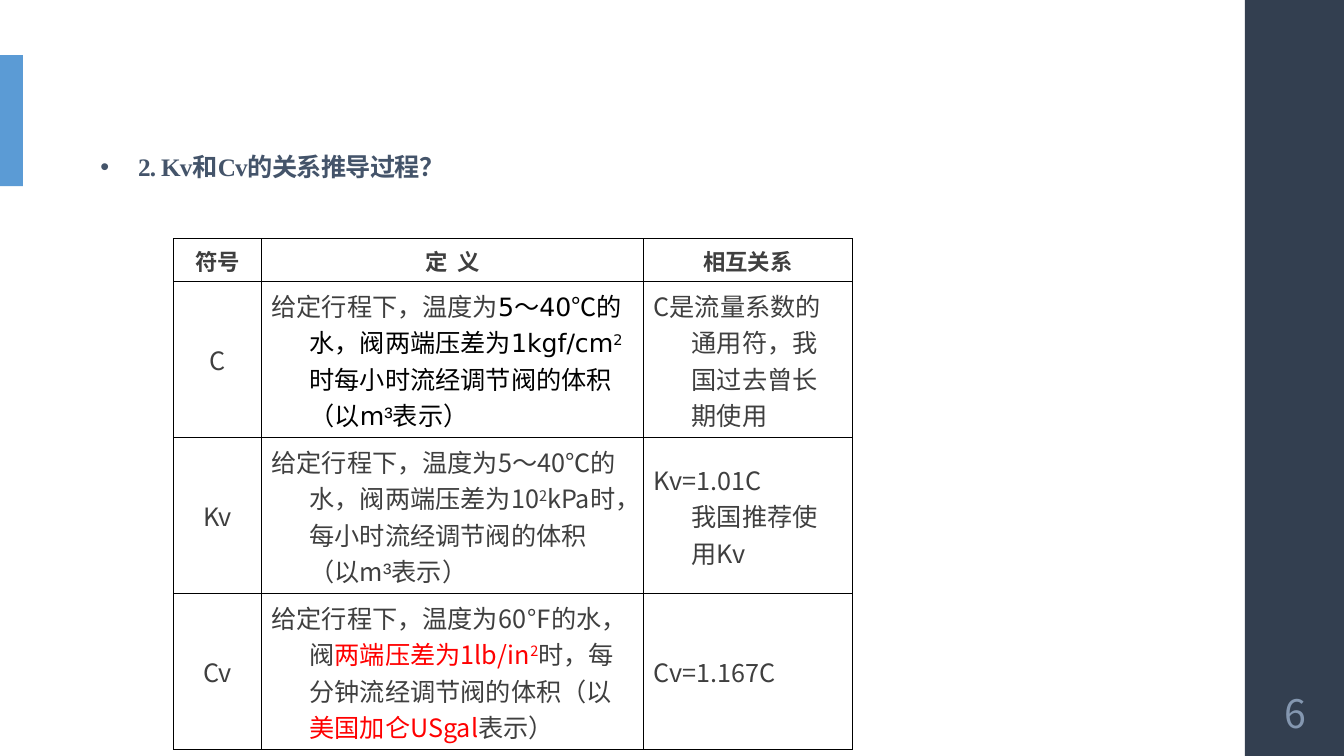
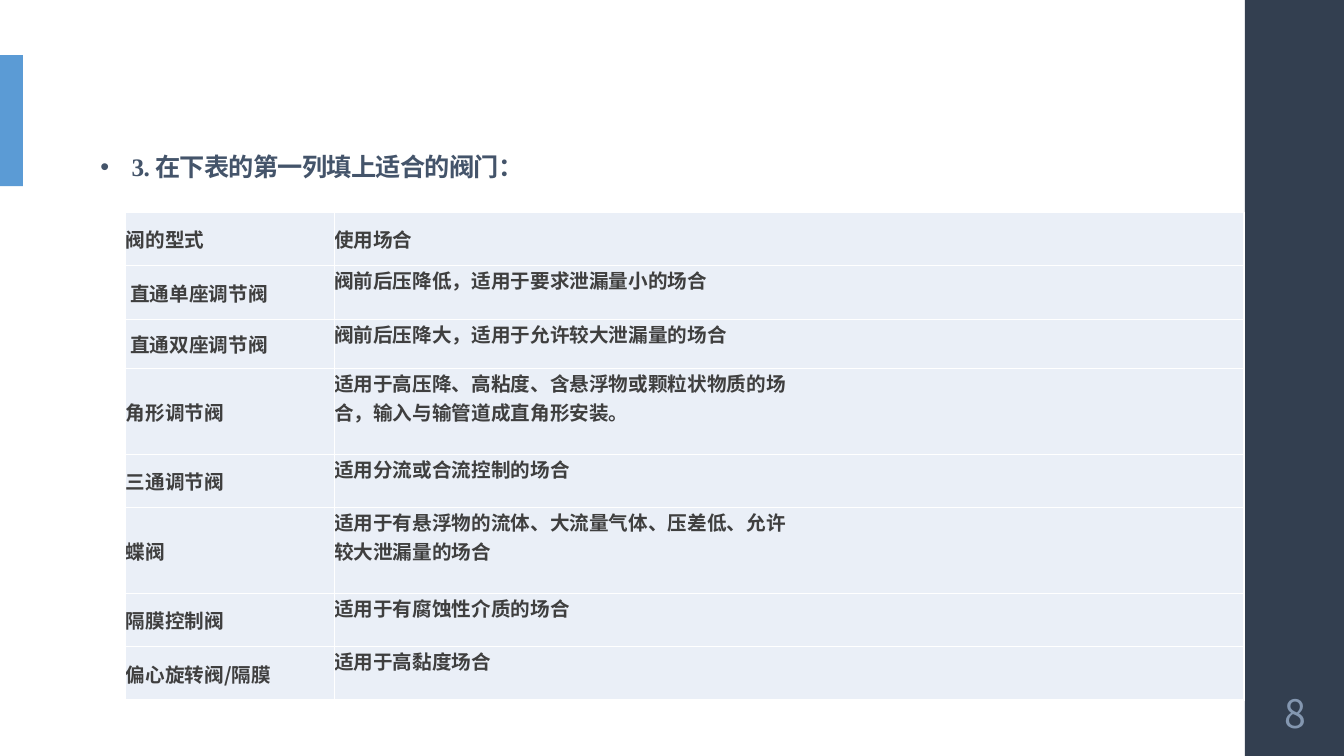
from dataclasses import dataclass, replace
from typing import NamedTuple

from lxml.etree import SubElement as Sub
from pptx import Presentation
from pptx.dml.color import RGBColor as Rgb
from pptx.enum.shapes import MSO_SHAPE as Form
from pptx.enum.text import MSO_ANCHOR as Anchor, PP_ALIGN as Align
from pptx.oxml.ns import qn
from pptx.util import Cm, Pt

NAVY, BLUE, SLATE, STEEL = "333F50", "5B9BD5", "44546A", "8497B0"
GREY, BLACK, RED, WHITE, PALE = "3F3F3F", "000000", "FF0000", "FFFFFF", "EAEFF7"
SANS, SERIF, WIDE, PLAIN = "Noto Sans CJK SC", "Times New Roman", "DejaVu Sans", "Arial"
BAND = 31.37


class Bit(NamedTuple):
    text: str
    ink: str = ""
    face: str = ""
    up: bool = False
    gap: float = 0


@dataclass(frozen=True)
class Look:
    size: float
    ink: str = GREY
    face: str = SANS
    bold: bool = False
    align: Align = Align.LEFT
    hang: float = 0
    gap: float = 0


@dataclass(frozen=True)
class Cell:
    lines: list
    look: Look
    anchor: Anchor = Anchor.MIDDLE


@dataclass(frozen=True)
class Grid:
    left: float
    top: float
    cols: list
    rows: list
    cells: list
    edge: str
    pad: tuple = (0, 0)
    fill: str = ""


def color(code: str) -> Rgb:
    return Rgb.from_string(code)


def add_run(par, bit: Bit, look: Look) -> None:
    run = par.add_run()
    run.text = bit.text
    font = run.font
    font.size, font.bold = Pt(look.size), look.bold
    font.color.rgb = color(bit.ink or look.ink)
    font.name = bit.face or look.face
    props = run._r.get_or_add_rPr()
    Sub(props, qn("a:ea")).set("typeface", SANS)
    if bit.up:
        props.set("baseline", "30000")
    gap = bit.gap or look.gap
    if gap:
        props.set("spc", str(int(gap * 100)))


def add_line(par, bits: list, look: Look) -> None:
    par.alignment = look.align
    if look.hang:
        props = par._p.get_or_add_pPr()
        props.set("marL", str(Cm(look.hang)))
        props.set("indent", str(-Cm(look.hang)))
    for bit in bits:
        if bit.text == "\n":
            par.add_line_break()
        else:
            add_run(par, bit, look)


def set_text(frame, lines: list, look: Look) -> None:
    frame.word_wrap = True
    for i, bits in enumerate(lines):
        par = frame.add_paragraph() if i else frame.paragraphs[0]
        add_line(par, bits, look)


def set_pad(box, wide: float, high: float) -> None:
    box.margin_left = box.margin_right = Cm(wide)
    box.margin_top = box.margin_bottom = Cm(high)


def add_band(slide, left: float, top: float, wide: float, high: float, fill: str) -> None:
    band = slide.shapes.add_shape(Form.RECTANGLE, Cm(left), Cm(top), Cm(wide), Cm(high))
    band.shadow.inherit = False
    band.fill.solid()
    band.fill.fore_color.rgb = color(fill)
    band.line.fill.background()


def add_box(slide, left: float, top: float, wide: float, high: float,
            text: str, look: Look, anchor: Anchor, pad: tuple):
    frame = slide.shapes.add_textbox(Cm(left), Cm(top), Cm(wide), Cm(high)).text_frame
    frame.vertical_anchor = anchor
    set_pad(frame, *pad)
    set_text(frame, [[Bit(text)]], look)
    return frame.paragraphs[0]


def add_title(slide, text: str, hang: float) -> None:
    look = Look(18, SLATE, SERIF, True, Align.JUSTIFY, hang, -0.5)
    par = add_box(slide, 2.28, 2.66, 27.08, 2.06, text, look, Anchor.BOTTOM, (0.25, 0.13))
    par.line_spacing = 0.9
    props = par._p.get_or_add_pPr()
    Sub(props, qn("a:buFont")).set("typeface", PLAIN)
    Sub(props, qn("a:buChar")).set("char", "•")
    tab = Sub(Sub(props, qn("a:tabLst")), qn("a:tab"))
    tab.set("pos", str(Cm(0.64)))
    tab.set("algn", "l")


def add_edge(cell, ink: str) -> None:
    props = cell._tc.get_or_add_tcPr()
    for side in ("lnL", "lnR", "lnT", "lnB"):
        line = Sub(props, qn(f"a:{side}"))
        line.set("w", str(Pt(1)))
        Sub(Sub(line, qn("a:solidFill")), qn("a:srgbClr")).set("val", ink)


def add_grid(slide, grid: Grid) -> None:
    table = slide.shapes.add_table(
        len(grid.rows), len(grid.cols), Cm(grid.left), Cm(grid.top),
        Cm(sum(grid.cols)), Cm(sum(grid.rows))).table
    table.first_row = table.horz_banding = False
    for col, wide in zip(table.columns, grid.cols):
        col.width = Cm(wide)
    for row, high, items in zip(table.rows, grid.rows, grid.cells):
        row.height = Cm(high)
        for cell, item in zip(row.cells, items):
            add_edge(cell, grid.edge)
            if grid.fill:
                cell.fill.solid()
                cell.fill.fore_color.rgb = color(grid.fill)
            else:
                cell.fill.background()
            set_pad(cell, *grid.pad)
            cell.vertical_anchor = item.anchor
            set_text(cell.text_frame, item.lines, item.look)


def add_slide(deck, page: str, title: str, hang: float, grid: Grid) -> None:
    slide = deck.slides.add_slide(deck.slide_layouts[6])
    add_band(slide, BAND, 0, 2.5, 19.05, NAVY)
    add_band(slide, 0, 1.39, 0.58, 3.3, BLUE)
    add_title(slide, title, hang)
    look = Look(28, STEEL, align=Align.CENTER)
    add_box(slide, 31.41, 17.15, 2.46, 1.65, page, look, Anchor.MIDDLE, (0.13, 0.13))
    add_grid(slide, grid)


def flow_grid() -> Grid:
    body = Look(18, hang=0.96)
    mid = replace(body, align=Align.CENTER)
    head = replace(mid, size=16, bold=True)
    cube = Bit("³", face=PLAIN)
    heads = [[Bit("符号")], [Bit("定"), Bit(" ", gap=3.6), Bit("义")], [Bit("相互关系")]]
    rows = [
        ("C", [
            Bit("给定行程下，温度为"), Bit("5", BLACK, WIDE), Bit("～", BLACK),
            Bit("40", BLACK, WIDE), Bit("℃的水，阀两端压差为", BLACK),
            Bit("1kgf/cm", BLACK, WIDE), Bit("2", BLACK, WIDE, True),
            Bit("时每小时流经调节阀的体积（以", BLACK), Bit("m", BLACK, WIDE),
            cube._replace(ink=BLACK), Bit("表示）", BLACK),
        ], [Bit("C是流量系数的通用符，我国过去曾长期使用")]),
        ("Kv", [
            Bit("给定行程下，温度为5～40℃的水，阀两端压差为10"), Bit("2", up=True),
            Bit("kPa时，每小时流经调节阀的体积（以m"), cube, Bit("表示）"),
        ], [Bit("Kv=1.01C"), Bit("\n"), Bit("我国推荐使用Kv")]),
        ("Cv", [
            Bit("给定行程下，温度为60℉的水，阀"), Bit("两端压差为1lb/in", RED),
            Bit("2", RED, up=True), Bit("时，每分钟流经调节阀的体积（以"),
            Bit("美国加仑USgal", RED), Bit("表示）"),
        ], [Bit("Cv=1.167C")]),
    ]
    cells = [[Cell([bits], head) for bits in heads]]
    cells += [[Cell([[Bit(sign)]], mid), Cell([sense], body), Cell([link], body)]
              for sign, sense, link in rows]
    return Grid(4.38, 6.02, [2.21, 9.63, 5.26], [1.08] + [3.93] * 3,
                cells, BLACK, (0.25, 0.13))


def valve_grid() -> Grid:
    look = Look(14, bold=True, align=Align.JUSTIFY)
    rows = [
        ("阀的型式", ["使用场合"]),
        (" 直通单座调节阀", ["阀前后压降低，适用于要求泄漏量小的场合"]),
        (" 直通双座调节阀", ["阀前后压降大，适用于允许较大泄漏量的场合"]),
        ("角形调节阀", ["适用于高压降、高粘度、含悬浮物或颗粒状物质的场",
                   "合，输入与输管道成直角形安装。"]),
        ("三通调节阀", ["适用分流或合流控制的场合"]),
        ("蝶阀", ["适用于有悬浮物的流体、大流量气体、压差低、允许", "较大泄漏量的场合"]),
        ("隔膜控制阀", ["适用于有腐蚀性介质的场合"]),
        ("偏心旋转阀/隔膜", ["适用于高黏度场合"]),
    ]
    cells = [[Cell([[Bit(kind)]], look),
              Cell([[Bit(use)] for use in uses], look, Anchor.TOP if i else Anchor.MIDDLE)]
             for i, (kind, uses) in enumerate(rows)]
    return Grid(3.17, 5.35, [5.25, 22.93],
                [1.35, 1.35, 1.24, 2.16, 1.34, 2.16, 1.35, 1.34],
                cells, WHITE, fill=PALE)


def main() -> None:
    deck = Presentation()
    deck.slide_width, deck.slide_height = Cm(33.87), Cm(19.05)
    add_slide(deck, "6", "2. Kv和Cv的关系推导过程？", 0.95, flow_grid())
    add_slide(deck, "8", "3. 在下表的第一列填上适合的阀门：", 0.79, valve_grid())
    deck.save("out.pptx")


if __name__ == "__main__":
    main()
